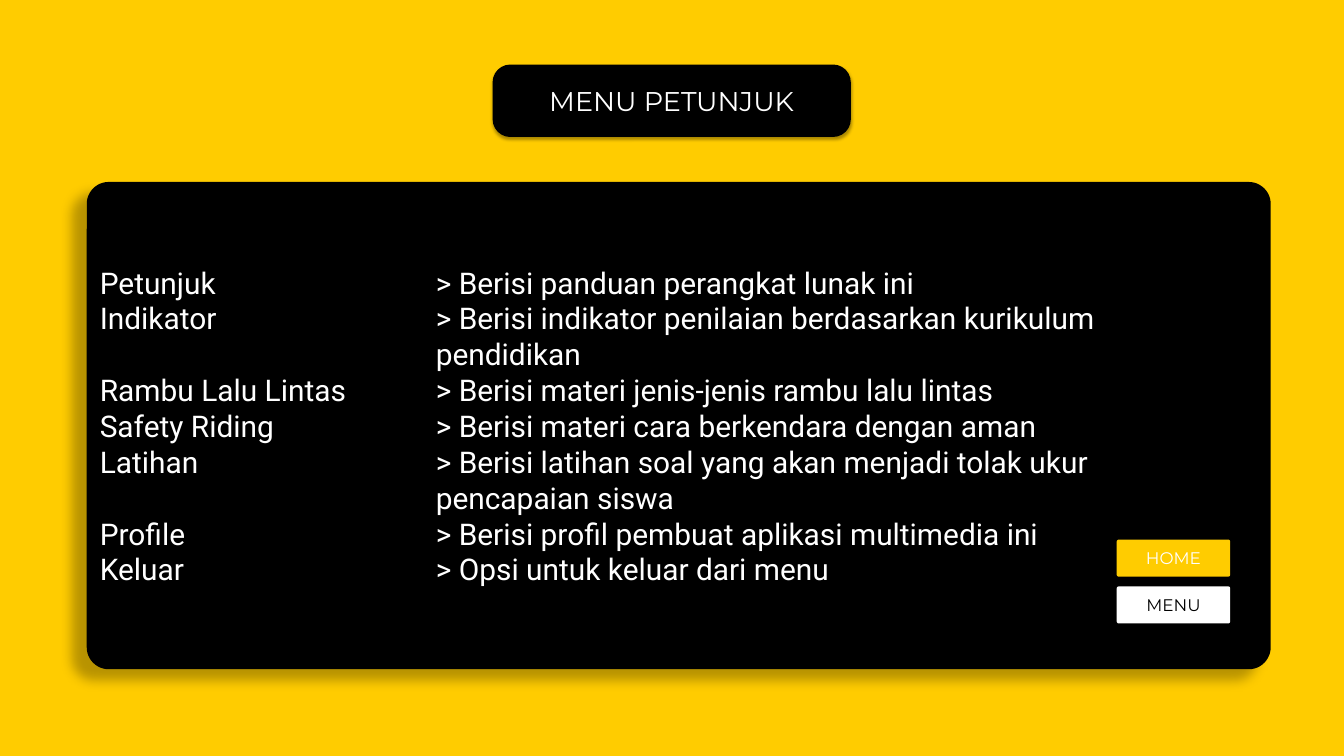
"""Build the instruction menu slide with its title, guide panel and buttons."""
import dataclasses
import typing

import lxml.etree
import pptx
import pptx.dml.color
import pptx.enum.shapes
import pptx.enum.text
import pptx.oxml.ns
import pptx.util

Cm = pptx.util.Cm
Pt = pptx.util.Pt
qn = pptx.oxml.ns.qn
RGBColor = pptx.dml.color.RGBColor
PP_ALIGN = pptx.enum.text.PP_ALIGN

YELLOW = RGBColor(0xFF, 0xCC, 0x00)
BLACK = RGBColor(0x00, 0x00, 0x00)
WHITE = RGBColor(0xFF, 0xFF, 0xFF)

WIDTH, HEIGHT = Cm(50.8), Cm(28.58)
TAB_STOP = Cm(12.7)
FRAME_FORMAT = {
    "word_wrap": True,
    "vertical_anchor": pptx.enum.text.MSO_ANCHOR.MIDDLE,
    "margin_left": Cm(0.25),
    "margin_right": Cm(0.25),
    "margin_top": Cm(0.13),
    "margin_bottom": Cm(0.13),
}
GUIDE = [
    ("Petunjuk", "> Berisi panduan perangkat lunak ini"),
    ("Indikator", "> Berisi indikator penilaian berdasarkan kurikulum"),
    ("", "pendidikan"),
    ("Rambu Lalu Lintas", "> Berisi materi jenis-jenis rambu lalu lintas"),
    ("Safety Riding", "> Berisi materi cara berkendara dengan aman"),
    ("Latihan", "> Berisi latihan soal yang akan menjadi tolak ukur"),
    ("", "pencapaian siswa"),
    ("Profile", "> Berisi profil pembuat aplikasi multimedia ini"),
    ("Keluar", "> Opsi untuk keluar dari menu"),
]


class Shadow(typing.NamedTuple):
    """Outer shadow with opacity in percent, lengths in points, angle in degrees."""

    opacity: int
    blur: float
    distance: float
    angle: int


SOFT = Shadow(32, 3.5, 2.2, 90)
DEEP = Shadow(28, 11.8, 19.7, 141)


@dataclasses.dataclass
class Box:
    """Rounded box with optional lines of text."""

    left: int
    top: int
    width: int
    height: int
    fill: RGBColor
    radius: float
    lines: typing.Sequence[str] = ()
    font: str = "Montserrat"
    size: float = 18
    color: RGBColor = WHITE
    align: PP_ALIGN = PP_ALIGN.CENTER
    shadow: Shadow = SOFT


def set_attributes(target: typing.Any, values: typing.Dict[str, typing.Any]) -> None:
    """Set each format value on the target."""
    for name, value in values.items():
        setattr(target, name, value)


def add_shadow(sp: typing.Any, shadow: Shadow) -> None:
    """Give a shape a black outer shadow."""
    sp.shadow.inherit = False
    effects = sp._element.spPr.find(qn("a:effectLst"))
    outer = lxml.etree.SubElement(
        effects,
        qn("a:outerShdw"),
        blurRad=str(Pt(shadow.blur)),
        dist=str(Pt(shadow.distance)),
        dir=str(shadow.angle * 60000),
        algn="ctr",
        rotWithShape="0",
    )
    color = lxml.etree.SubElement(outer, qn("a:srgbClr"), val=str(BLACK))
    lxml.etree.SubElement(color, qn("a:alpha"), val=str(shadow.opacity * 1000))


def add_tab_stop(p: typing.Any, position: int) -> None:
    """Add one left tab stop to a paragraph."""
    tabs = lxml.etree.SubElement(p._p.get_or_add_pPr(), qn("a:tabLst"))
    lxml.etree.SubElement(tabs, qn("a:tab"), pos=str(position), algn="l")


def add_box(shapes: typing.Any, box: Box) -> None:
    """Draw a box and its text."""
    sp = shapes.add_shape(
        pptx.enum.shapes.MSO_SHAPE.ROUNDED_RECTANGLE,
        box.left, box.top, box.width, box.height,
    )
    sp.adjustments[0] = box.radius
    sp.fill.solid()
    sp.fill.fore_color.rgb = box.fill
    sp.line.fill.background()
    add_shadow(sp, box.shadow)
    tf = sp.text_frame
    set_attributes(tf, FRAME_FORMAT)
    for i, line in enumerate(box.lines):
        p = tf.add_paragraph() if i else tf.paragraphs[0]
        p.alignment = box.align
        if "\t" in line:
            add_tab_stop(p, TAB_STOP)
        r = p.add_run()
        r.text = line
        set_attributes(r.font, {"name": box.font, "size": Pt(box.size)})
        r.font.color.rgb = box.color


def main() -> None:
    """Build and save the slide."""
    prs = pptx.Presentation()
    set_attributes(prs, {"slide_width": WIDTH, "slide_height": HEIGHT})
    s = prs.slides.add_slide(prs.slide_layouts[6])

    backdrop = Box(0, 0, WIDTH, HEIGHT, YELLOW, 0)
    title = Box(Cm(18.62), Cm(2.44), Cm(13.54), Cm(2.74), BLACK, 0.245,
                ["MENU PETUNJUK"], size=29)
    panel = Box(Cm(3.28), Cm(6.88), Cm(44.75), Cm(18.42), BLACK, 0.045,
                ["\t".join(row) for row in GUIDE], "Roboto", 32,
                align=PP_ALIGN.JUSTIFY, shadow=DEEP)
    for box in (backdrop, title, panel):
        add_box(s.shapes, box)

    group = s.shapes.add_group_shape()
    add_box(group.shapes, Box(Cm(41.91), Cm(20.02), Cm(4.88), Cm(4.01), BLACK, 0.054))
    buttons = [("HOME", YELLOW, WHITE), ("MENU", WHITE, BLACK)]
    for i, (label, fill, color) in enumerate(buttons):
        top = Cm(20.4) + i * Cm(1.77)
        add_box(group.shapes, Box(Cm(42.21), top, Cm(4.29), Cm(1.4), fill, 0.054,
                                  [label], color=color))

    prs.save("out.pptx")


if __name__ == "__main__":
    main()
